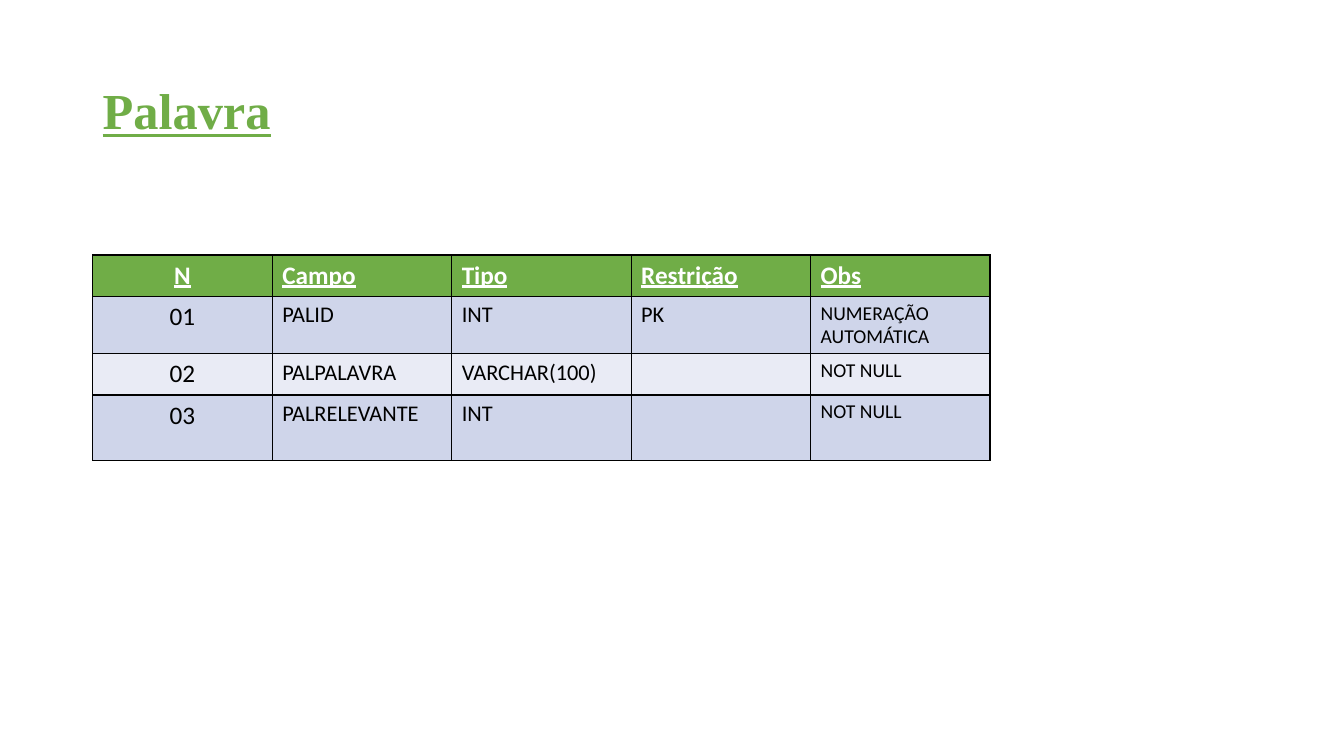
from lxml.etree import SubElement
from pptx import Presentation
from pptx.dml.color import RGBColor
from pptx.enum.text import MSO_ANCHOR, PP_ALIGN
from pptx.oxml.ns import qn
from pptx.util import Inches, Pt

GREEN = RGBColor(0x70, 0xAD, 0x47)
WHITE = RGBColor(0xFF, 0xFF, 0xFF)
BLACK = RGBColor(0, 0, 0)
BAND_DARK = RGBColor(0xCF, 0xD5, 0xEA)
BAND_LIGHT = RGBColor(0xE9, 0xEB, 0xF5)

LEFT = 0.92
COLUMN_WIDTH = 1.78
ROW_HEIGHTS = (0.41, 0.57, 0.41, 0.65)
HEADER_SIZE = 18
FIELD_SIZES = (18, 16, 16, 16, 14)
FIELDS = (
    ("N", "Campo", "Tipo", "Restrição", "Obs"),
    ("01", "PALID", "INT", "PK", "NUMERAÇÃO AUTOMÁTICA"),
    ("02", "PALPALAVRA", "VARCHAR(100)", "", "NOT NULL"),
    ("03", "PALRELEVANTE", "INT", "", "NOT NULL"),
)


def write_text(frame, text, *, size, color=BLACK, font="Calibri",
               heading=False, align=PP_ALIGN.LEFT, line_spacing=1.0):
    """Write one paragraph; headings are bold and underlined."""
    paragraph = frame.paragraphs[0]
    paragraph.alignment = align
    paragraph.line_spacing = line_spacing
    run = paragraph.add_run()
    run.text = text
    run.font.name = font
    run.font.size = Pt(size)
    run.font.color.rgb = color
    run.font.bold = heading
    run.font.underline = heading


def add_title(slide, text):
    title = slide.shapes.add_textbox(
        Inches(LEFT), Inches(0.4), Inches(11.5), Inches(1.45))
    title.text_frame.word_wrap = True
    title.text_frame.vertical_anchor = MSO_ANCHOR.MIDDLE
    write_text(title.text_frame, text, size=36, color=GREEN,
               font="Times New Roman", heading=True, line_spacing=0.9)


def set_borders(cell, color, width):
    properties = cell._tc.get_or_add_tcPr()
    for side in ("a:lnL", "a:lnR", "a:lnT", "a:lnB"):
        line = SubElement(properties, qn(side), w=str(Pt(width)))
        fill = SubElement(line, qn("a:solidFill"))
        SubElement(fill, qn("a:srgbClr"), val=str(color))


def fill_cell(cell, text, row, column):
    header = row == 0
    # Borders come before the fill in the cell properties
    set_borders(cell, BLACK, 1)
    cell.fill.solid()
    cell.fill.fore_color.rgb = (
        GREEN if header else BAND_DARK if row % 2 else BAND_LIGHT)
    if text:
        write_text(cell.text_frame, text, heading=header,
                   size=HEADER_SIZE if header else FIELD_SIZES[column],
                   color=WHITE if header else BLACK,
                   align=PP_ALIGN.LEFT if column else PP_ALIGN.CENTER)


def add_field_table(slide, fields):
    column_count = len(fields[0])
    table = slide.shapes.add_table(
        len(fields), column_count, Inches(LEFT), Inches(2.53),
        Inches(COLUMN_WIDTH * column_count), Inches(sum(ROW_HEIGHTS))).table
    for column in table.columns:
        column.width = Inches(COLUMN_WIDTH)
    for row, height in zip(table.rows, ROW_HEIGHTS):
        row.height = Inches(height)
    for row, values in enumerate(fields):
        for column, value in enumerate(values):
            fill_cell(table.cell(row, column), value, row, column)


def main():
    presentation = Presentation()
    presentation.slide_width = Inches(13.33)
    presentation.slide_height = Inches(7.5)
    slide = presentation.slides.add_slide(presentation.slide_layouts[6])

    # Entity name
    add_title(slide, "Palavra")
    # Data dictionary
    add_field_table(slide, FIELDS)

    presentation.save("out.pptx")


main()
